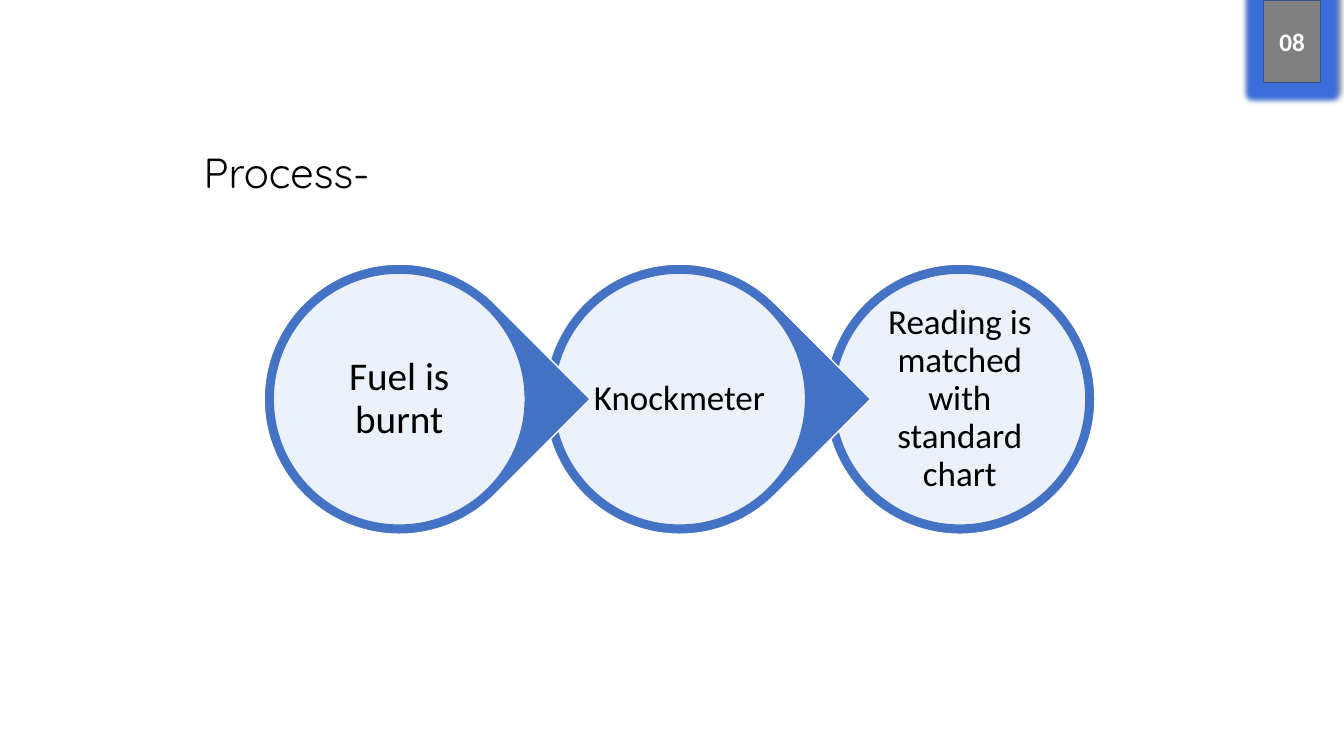
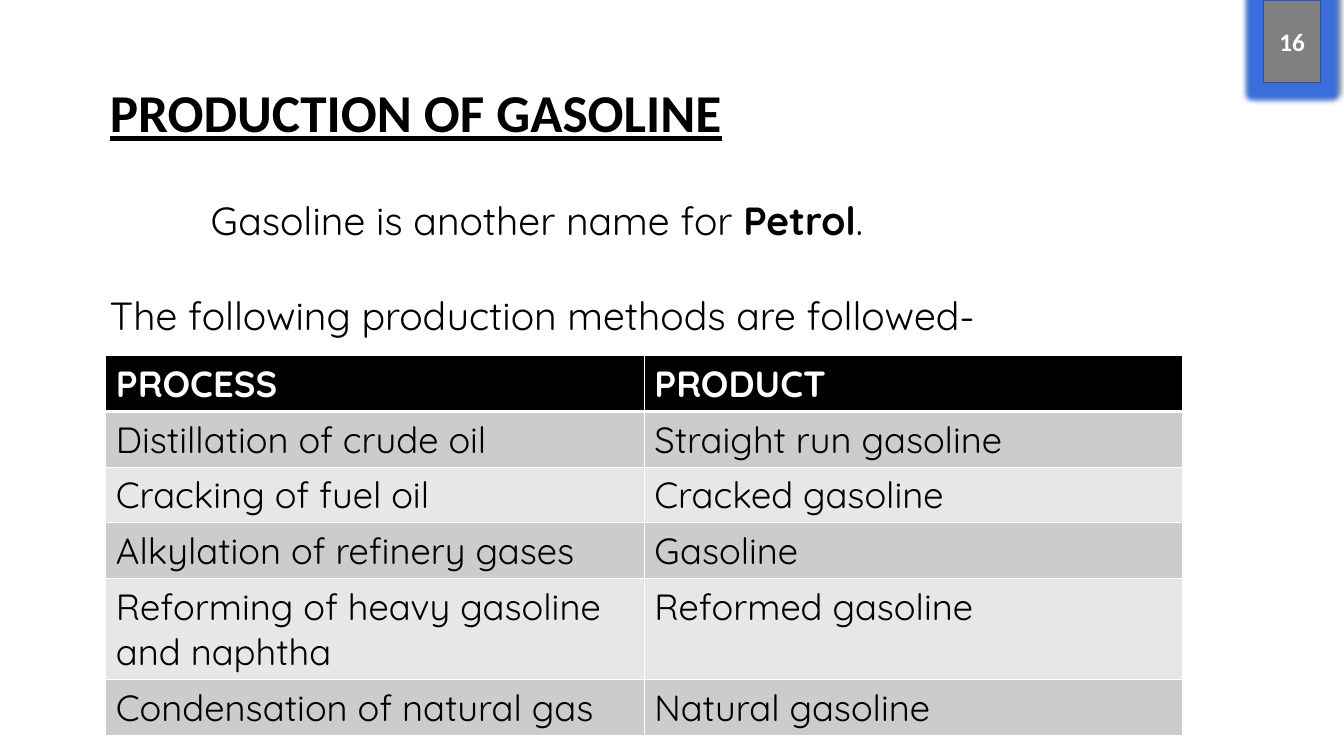
from lxml import etree
from pptx import Presentation
from pptx.dml.color import RGBColor
from pptx.enum.shapes import MSO_SHAPE
from pptx.enum.text import MSO_ANCHOR, MSO_AUTO_SIZE, PP_ALIGN
from pptx.oxml.ns import qn
from pptx.util import Emu, Pt

ELLIPSE, TEAR, RECT = MSO_SHAPE.OVAL, MSO_SHAPE.TEAR, MSO_SHAPE.RECTANGLE
LEFT, CENTER = PP_ALIGN.LEFT, PP_ALIGN.CENTER
TOP, MIDDLE = MSO_ANCHOR.TOP, MSO_ANCHOR.MIDDLE
NO_FIT = MSO_AUTO_SIZE.NONE
EMU_PER_PX = 9144
TITLE_ONLY = 5

BLACK, WHITE, BLUE = "000000", "FFFFFF", "4472C4"
GRAY, NAVY, GLOW = "808080", "325491", "3C6FDC"
BANDS = ("CCCCCC", "E7E7E7")
HEAD, BODY = "Calibri", "Quicksand"

STEPS = [("Fuel is burnt", 28), ("Knockmeter", 25),
         ("Reading is matched with standard chart", 25)]
METHODS = [
    ("PROCESS", "PRODUCT"),
    ("Distillation of crude oil", "Straight run gasoline"),
    ("Cracking of fuel oil", "Cracked gasoline"),
    ("Alkylation of refinery gases", "Gasoline"),
    ("Reforming of heavy gasoline and naphtha", "Reformed gasoline"),
    ("Condensation of natural gas", "Natural gasoline"),
]
ROW_HEIGHTS = (53, 53, 53, 53, 97, 53)


def px(n):
    return Emu(n * EMU_PER_PX)


def rgb(color):
    return RGBColor.from_string(color)


def sub(parent, tag, **attrs):
    el = etree.SubElement(parent, qn(tag))
    for key, value in attrs.items():
        el.set(key, str(value))
    return el


def add_run(p, text, size, font, color=BLACK, bold=False, underline=False):
    r = p.add_run()
    r.text = text
    r.font.size, r.font.name = Pt(size), font
    r.font.bold, r.font.underline = bold, underline
    r.font.color.rgb = rgb(color)


def set_frame(tf, anchor, margin_x, margin_y, wrap=True):
    tf.auto_size = NO_FIT
    tf.word_wrap = wrap
    tf.vertical_anchor = anchor
    tf.margin_left = tf.margin_right = px(margin_x)
    tf.margin_top = tf.margin_bottom = px(margin_y)


def set_title(s, text, x, y, w, h, size, font, wrap=True, **style):
    sp = s.shapes.title
    sp.left, sp.top, sp.width, sp.height = map(px, (x, y, w, h))
    set_frame(sp.text_frame, TOP, 10, 5, wrap)
    p = sp.text_frame.paragraphs[0]
    p.alignment = LEFT
    add_run(p, text, size, font, **style)


def add_shape(s, kind, x, y, w, h, fill, line):
    sp = s.shapes.add_shape(kind, *map(px, (x, y, w, h)))
    sp.shadow.inherit = False
    sp.fill.solid()
    sp.fill.fore_color.rgb = rgb(fill)
    sp.line.color.rgb = rgb(line)
    sp.line.width = Pt(1)
    return sp


def add_label(sp, text, size, color, margin=0, **style):
    set_frame(sp.text_frame, MIDDLE, margin, margin)
    p = sp.text_frame.paragraphs[0]
    p.alignment = CENTER
    add_run(p, text, size, HEAD, color, **style)
    return p


def add_effect_color(effect, color, alpha):
    sub(sub(effect, "a:srgbClr", val=color), "a:alpha", val=alpha * 1000)


def add_badge(s, number):
    sp = add_shape(s, RECT, 1253, 0, 57, 82, GRAY, NAVY)
    effects = sp.element.spPr.find(qn("a:effectLst"))
    add_effect_color(sub(effects, "a:glow", rad=Pt(8)), GLOW, 100)
    shadow = sub(effects, "a:outerShdw", blurRad=Pt(4), dist=Pt(3),
                 dir=315 * 60000, rotWithShape=0)
    add_effect_color(shadow, BLACK, 40)
    add_label(sp, number, 18, WHITE, bold=True)


def add_step(s, x, y, text, size, last):
    outer, rim = 268, 9
    inner = outer - 2 * rim
    back = add_shape(s, ELLIPSE if last else TEAR, x, y, outer, outer, BLUE, WHITE)
    if not last:
        back.rotation = 45
    face = add_shape(s, ELLIPSE, x + rim, y + rim, inner, inner, WHITE, BLUE)
    fill_color = face.element.spPr.find(qn("a:solidFill"))[0]
    sub(fill_color, "a:alpha", val=90000)
    add_label(face, text, size, BLACK, margin=2).line_spacing = 0.9


def add_borders(cell, **widths):
    tcPr = cell._tc.get_or_add_tcPr()
    for side in "LRTB":
        ln = sub(tcPr, "a:ln" + side, w=Pt(widths.get(side, 1)))
        sub(sub(ln, "a:solidFill"), "a:srgbClr", val=WHITE)


def add_methods_table(s, x, y, col_width):
    cols = len(METHODS[0])
    frame = s.shapes.add_table(len(METHODS), cols, px(x), px(y),
                               px(cols * col_width), px(sum(ROW_HEIGHTS)))
    table = frame.table
    table.horz_banding = False
    for col in table.columns:
        col.width = px(col_width)
    for i, (texts, height) in enumerate(zip(METHODS, ROW_HEIGHTS)):
        table.rows[i].height = px(height)
        header = i == 0
        for j, text in enumerate(texts):
            cell = table.cell(i, j)
            add_borders(cell, B=3 if header else 1, T=3 if i == 1 else 1)
            cell.fill.solid()
            cell.fill.fore_color.rgb = rgb(BLACK if header else BANDS[(i - 1) % 2])
            add_run(cell.text_frame.paragraphs[0], text, 26, BODY,
                    WHITE if header else BLACK, bold=header)


def add_intro(s, x, y, w, h):
    tf = s.shapes.add_textbox(*map(px, (x, y, w, h))).text_frame
    set_frame(tf, TOP, 10, 5)
    p = tf.paragraphs[0]
    p._p.get_or_add_pPr().set("marL", str(px(100)))
    for text, bold in (("Gasoline is another name for ", False),
                       ("Petrol", True), (".", False)):
        add_run(p, text, 28, BODY, bold=bold)
    p = tf.add_paragraph()
    p.space_before = Pt(34)
    add_run(p, "The following production methods are followed-", 28, BODY)


def add_slide(prs, number):
    s = prs.slides.add_slide(prs.slide_layouts[TITLE_ONLY])
    add_badge(s, number)
    return s


def build_process(prs):
    s = add_slide(prs, "08")
    set_title(s, "Process-", 192, 140, 186, 61, 30, BODY, wrap=False)
    last = len(STEPS) - 1
    for i in range(last, -1, -1):
        add_step(s, 262 + 278 * i, 262, *STEPS[i], last=i == last)


def build_production(prs):
    s = add_slide(prs, "16")
    set_title(s, "PRODUCTION OF GASOLINE", 99, 74, 1100, 76, 38, HEAD,
              bold=True, underline=True)
    add_intro(s, 99, 190, 1100, 155)
    add_methods_table(s, 105, 353, 534)


def main():
    prs = Presentation()
    prs.slide_width, prs.slide_height = px(1333), px(750)
    build_process(prs)
    build_production(prs)
    prs.save("out.pptx")


if __name__ == "__main__":
    main()
